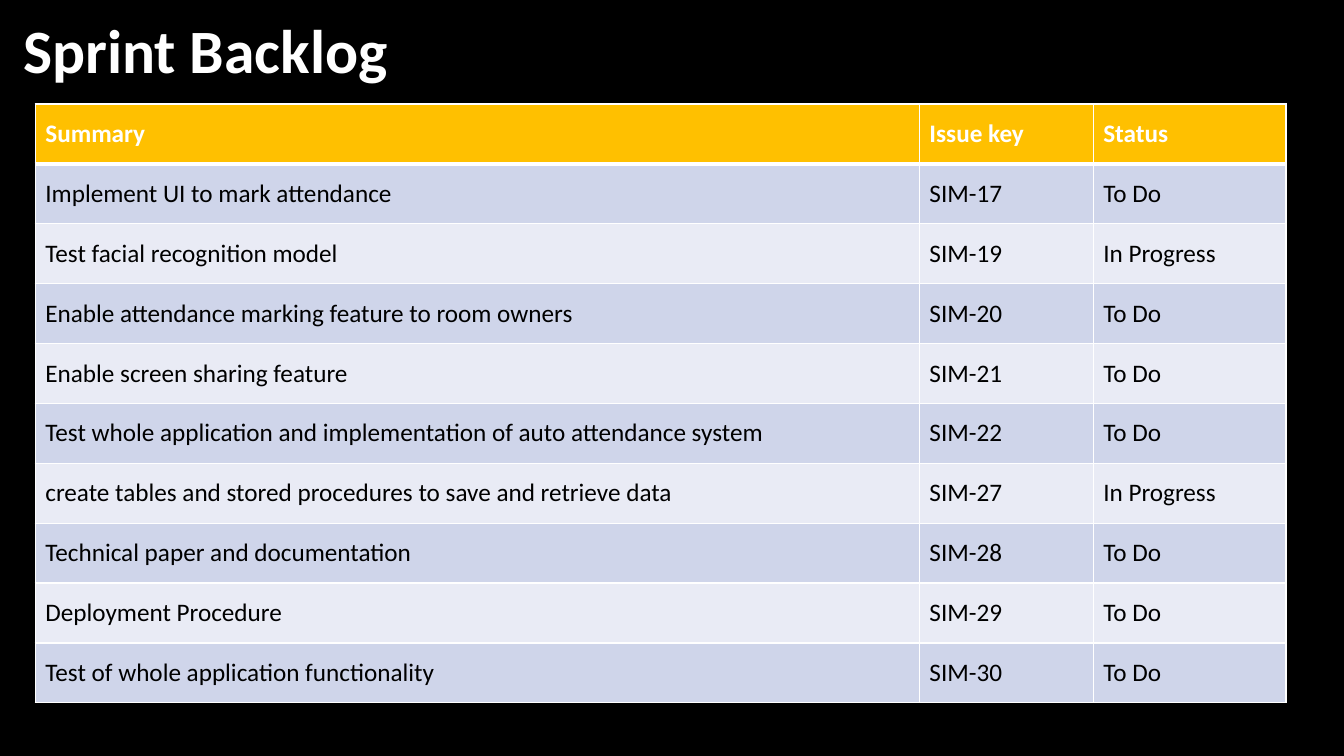
from dataclasses import dataclass

from lxml import etree
from pptx import Presentation
from pptx.dml.color import RGBColor
from pptx.enum.text import MSO_ANCHOR, MSO_AUTO_SIZE, PP_ALIGN
from pptx.oxml.ns import qn
from pptx.util import Cm, Pt

MIDDLE = MSO_ANCHOR.MIDDLE
NO_AUTOFIT = MSO_AUTO_SIZE.NONE
LEFT = PP_ALIGN.LEFT
TITLE_ONLY = 5


@dataclass(frozen=True)
class Theme:
    font: str = "Calibri"
    background: str = "000000"
    light: str = "FFFFFF"
    dark: str = "000000"
    header: str = "FFC000"
    bands: tuple = ("E9EBF5", "CFD5EA")
    title_size: int = 44
    table_size: int = 18
    rule: int = 1
    header_rule: int = 3


theme = Theme()


def add_span(para, text, size, color, bold):
    span = para.add_run()
    span.text = text
    span.font.name = theme.font
    span.font.size = Pt(size)
    span.font.bold = bold
    span.font.color.rgb = RGBColor.from_string(color)


def set_borders(cell, top, bottom):
    properties = cell._tc.get_or_add_tcPr()
    sides = {"a:lnL": theme.rule, "a:lnR": theme.rule, "a:lnT": top, "a:lnB": bottom}
    for position, (side, width) in enumerate(sides.items()):
        line = etree.Element(qn(side), w=str(Pt(width)))
        fill = etree.SubElement(line, qn("a:solidFill"))
        etree.SubElement(fill, qn("a:srgbClr"), val=theme.light)
        properties.insert(position, line)


deck = Presentation()
deck.slide_width, deck.slide_height = Cm(33.87), Cm(19.05)
page = deck.slides.add_slide(deck.slide_layouts[TITLE_ONLY])
page.background.fill.solid()
page.background.fill.fore_color.rgb = RGBColor.from_string(theme.background)

title = page.shapes.title
title.left, title.top, title.width, title.height = Cm(0.33), Cm(0.28), Cm(12.75), Cm(2.13)
frame = title.text_frame
frame.word_wrap = True
frame.auto_size = NO_AUTOFIT
frame.vertical_anchor = MIDDLE
para = frame.paragraphs[0]
para.alignment = LEFT
para.line_spacing = 0.9
para.space_after = Pt(6)
add_span(para, "Sprint Backlog", theme.title_size, theme.light, True)

backlog = [
    ("Summary", "Issue key", "Status"),
    ("Implement UI to mark attendance", "SIM-17", "To Do"),
    ("Test facial recognition model", "SIM-19", "In Progress"),
    ("Enable attendance marking feature to room owners", "SIM-20", "To Do"),
    ("Enable screen sharing feature", "SIM-21", "To Do"),
    ("Test whole application and implementation of auto attendance system", "SIM-22", "To Do"),
    ("create tables and stored procedures to save and retrieve data", "SIM-27", "In Progress"),
    ("Technical paper and documentation", "SIM-28", "To Do"),
    ("Deployment Procedure", "SIM-29", "To Do"),
    ("Test of whole application functionality", "SIM-30", "To Do"),
]
column_widths = [Cm(22.28), Cm(4.38), Cm(4.86)]

table = page.shapes.add_table(
    len(backlog), len(column_widths), Cm(0.89), Cm(2.62), sum(column_widths), Cm(15.09)
).table
for column, width in zip(table.columns, column_widths):
    column.width = width

for row, issue in enumerate(backlog):
    is_header = row == 0
    fill_color = theme.header if is_header else theme.bands[row % 2]
    text_color = theme.light if is_header else theme.dark
    top = theme.header_rule if row == 1 else theme.rule
    bottom = theme.header_rule if is_header else theme.rule
    for column, text in enumerate(issue):
        cell = table.cell(row, column)
        cell.vertical_anchor = MIDDLE
        cell.fill.solid()
        cell.fill.fore_color.rgb = RGBColor.from_string(fill_color)
        set_borders(cell, top, bottom)
        add_span(cell.text_frame.paragraphs[0], text, theme.table_size, text_color, is_header)

deck.save("out.pptx")
